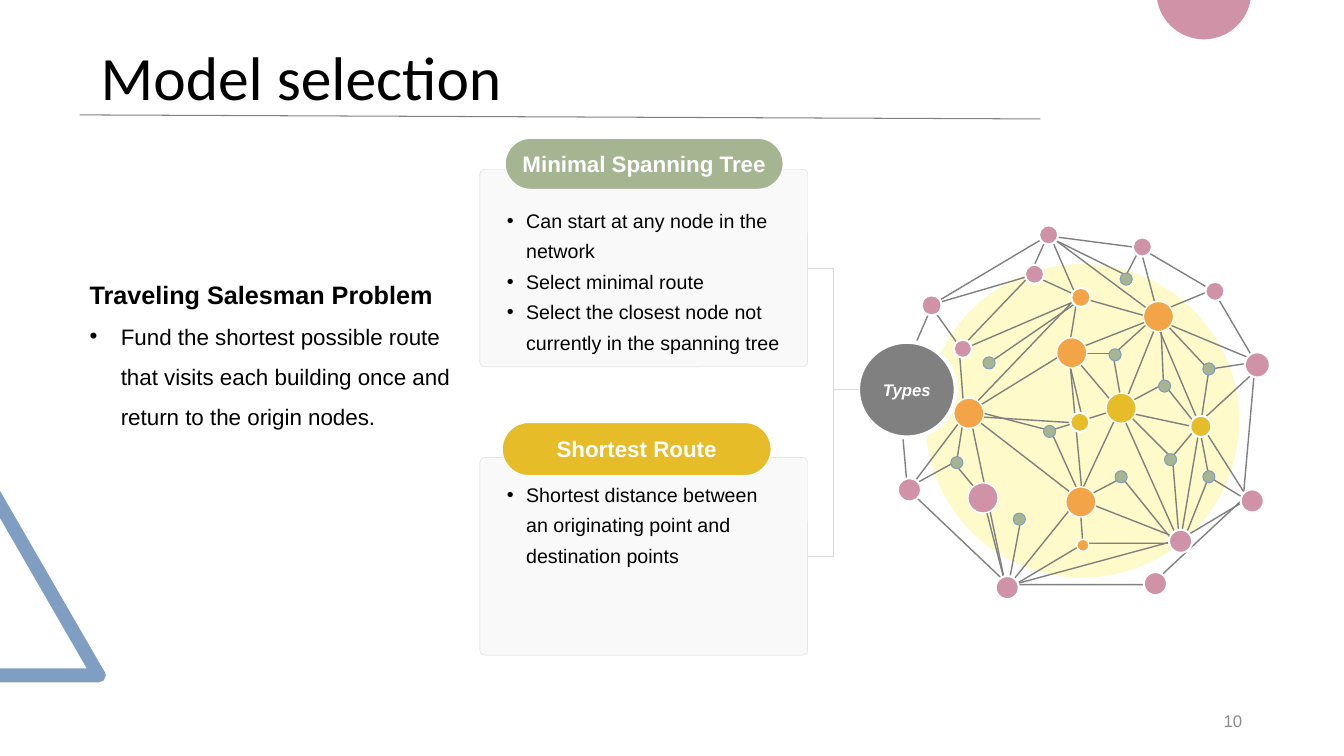
from math import cos, radians, sin

from lxml import etree
from pptx import Presentation
from pptx.dml.color import RGBColor
from pptx.enum.shapes import MSO_CONNECTOR, MSO_SHAPE
from pptx.enum.text import MSO_ANCHOR, PP_ALIGN
from pptx.oxml.ns import qn
from pptx.util import Cm, Pt

STRAIGHT, ELBOW = MSO_CONNECTOR.STRAIGHT, MSO_CONNECTOR.ELBOW
OVAL, ROUNDED = MSO_SHAPE.OVAL, MSO_SHAPE.ROUNDED_RECTANGLE
TOP, MIDDLE = MSO_ANCHOR.TOP, MSO_ANCHOR.MIDDLE
LEFT, CENTER, RIGHT = PP_ALIGN.LEFT, PP_ALIGN.CENTER, PP_ALIGN.RIGHT
RIGHT_SIDE = 3
COLORS = {
    "black": "000000", "white": "FFFFFF", "gray": "808080", "number": "8C8C8C",
    "card": "F2F2F2", "border": "D9D9D9", "blue": "809EC2", "pink": "D092A7",
    "green": "A5B592", "yellow": "E7BC29", "orange": "F3A447", "cream": "FEFAC9",
}

# Network routes, as corner points; a route that returns to its start is closed
ROUTES = [
    [(11.56, 3.83), (11.9, 4.26), (11.99, 3.67), (11.55, 3.2)],
    [(11.67, 5.41), (11.13, 4.74), (10.77, 4.93), (10.71, 4.98), (10.74, 5.39),
     (11.7, 5.39), (11.12, 4.09), (11.51, 3.12), (11.54, 3.81), (11.13, 4.03),
     (11.04, 3.52), (11.47, 3.13), (10.37, 2.31)],
    [(10.74, 2.96), (9.81, 3.6)],
    [(10.39, 2.34), (11.31, 2.46), (12.04, 2.89), (12.45, 3.59), (12.33, 4.95),
     (11.42, 5.8), (10, 5.8), (9, 4.85), (8.91, 3.81), (9.25, 3.02), (10.39, 2.34)],
    [(9.25, 3.02), (10.24, 2.73), (10.74, 2.96), (11.45, 3.16), (12.53, 3.61),
     (11.9, 4.19), (12.38, 4.95), (11.71, 5.35), (10.05, 5.8)],
    [(9.25, 3.06), (9.54, 3.47), (10.68, 2.98), (10.6, 3.47), (10.74, 4.97),
     (11.71, 5.35), (11.9, 4.22), (11.45, 3.16), (10.61, 3.49), (11.1, 4.07),
     (10.69, 4.95), (10.68, 4.97), (9.98, 5.84), (9.61, 4.07), (10.68, 2.95),
     (10.42, 2.35)],
    [(9.51, 3.42), (9.56, 4.07), (8.94, 3.84)],
    [(9.56, 3.42), (10.21, 2.74), (10.39, 2.34), (10.42, 2.36), (11.17, 2.73),
     (11.31, 2.46), (11.48, 3.1), (11.99, 2.89)],
    [(9.59, 4.09), (10.74, 4.98), (10.42, 4.27), (10.74, 4.17), (10.58, 3.49),
     (9.64, 4.07), (10.41, 4.27)],
    [(11.17, 4.09), (11.62, 4.54), (11.87, 4.24), (11.17, 4.09)],
    [(10.12, 5.18), (9.99, 5.87), (9.75, 4.94), (9.46, 4.59), (9.04, 4.82),
     (9.56, 4.13), (9.49, 4.57)],
    [(10.74, 4.2), (9.63, 4.13)],
    [(12.4, 3.6), (11.95, 3.67)],
    [(11.72, 5.41), (11.99, 4.73), (11.9, 4.26)],
    [(12.4, 4.98), (11.99, 4.73)],
    [(11.63, 4.56), (11.7, 5.41)],
    [(10.72, 5.41), (9.95, 5.87)],
    [(11.06, 3.51), (10.64, 3.51)],
    [(11.06, 4.07), (10.77, 4.16)],
]
# Nodes by colour: centre x, centre y, diameter
STOPS = [(11.17, 2.77), (11.99, 3.66), (11.55, 3.83), (11.06, 3.52), (10.41, 4.28),
         (9.81, 3.6), (9.49, 4.59), (10.11, 5.15), (11.12, 4.73), (11.61, 4.56),
         (11.99, 4.73)]
NODES = {
    "green": [(x, y, 0.12) for x, y in STOPS],
    "orange": [(10.74, 5.41, 0.12), (11.49, 3.14, 0.3), (10.63, 3.5, 0.3),
               (9.61, 4.1, 0.3), (10.72, 4.98, 0.3), (10.72, 2.95, 0.19)],
    "yellow": [(11.12, 4.05, 0.3), (10.71, 4.19, 0.19), (11.91, 4.23, 0.21)],
    "pink": [(9.02, 4.86, 0.23), (9.99, 5.83, 0.23), (11.46, 5.79, 0.23),
             (12.42, 4.97, 0.23), (12.47, 3.62, 0.25), (12.05, 2.89, 0.19),
             (11.33, 2.45, 0.19), (10.4, 2.33, 0.19), (9.24, 3.03, 0.2),
             (9.55, 3.46, 0.18), (9.75, 4.94, 0.3), (10.26, 2.72, 0.19),
             (11.71, 5.37, 0.23)],
}
# Card top, label, label box, label colour, bullets box, bullets
MODELS = [
    (1.68, "Minimal Spanning Tree", (5.01, 1.37, 2.76, 0.51), "green",
     (4.93, 1.95, 3.11, 1.54),
     ["Can start at any node in the network", "Select minimal route",
      "Select the closest node not currently in the spanning tree"]),
    (4.54, "Shortest Route", (4.98, 4.19, 2.67, 0.53), "yellow",
     (4.93, 4.67, 2.88, 1.47),
     ["Shortest distance between an originating point and destination points"]),
]


def grid(units):
    """Length of a number of layout units, each 2.54 cm."""
    return Cm(2.54 * units)


def rgb(color):
    return RGBColor.from_string(COLORS[color])


class Deck:
    def __init__(self, width, height, font="Arial"):
        self.font = font
        self.deck = Presentation()
        self.deck.slide_width, self.deck.slide_height = grid(width), grid(height)
        self.slide = self.deck.slides.add_slide(self.deck.slide_layouts[6])
        self.shapes = self.slide.shapes

    def paint(self, shape, fill, line=None, weight=1.0):
        shape.shadow.inherit = False
        if fill:
            shape.fill.solid()
            shape.fill.fore_color.rgb = rgb(fill)
        else:
            shape.fill.background()
        if line:
            shape.line.color.rgb = rgb(line)
            shape.line.width = Pt(weight)
        else:
            shape.line.fill.background()
        return shape

    def preset(self, kind, box, fill, line=None, weight=1.0, corner=None, opacity=None):
        shape = self.paint(self.shapes.add_shape(kind, *map(grid, box)), fill, line, weight)
        if corner is not None:
            shape.adjustments[0] = corner
        if opacity:
            tint = shape._element.spPr.find(qn("a:solidFill")).find(qn("a:srgbClr"))
            etree.SubElement(tint, qn("a:alpha"), val=str(opacity * 1000))
        return shape

    def outline(self, points, fill=None, line=None, weight=1.0, close=True):
        (x, y), *rest = [(grid(px), grid(py)) for px, py in points]
        builder = self.shapes.build_freeform(x, y, scale=1.0)
        builder.add_line_segments(rest, close=close)
        return self.paint(builder.convert_to_shape(), fill, line, weight)

    def connector(self, kind, start, end, color, weight):
        link = self.shapes.add_connector(kind, *map(grid, (*start, *end)))
        link.line.color.rgb = rgb(color)
        link.line.width = Pt(weight)
        etree.SubElement(link._element.spPr, qn("a:effectLst"))
        return link

    def route(self, points):
        if len(points) == 2:
            self.connector(STRAIGHT, *points, "gray", 1)
        else:
            self.outline(points, line="gray", close=points[0] == points[-1])

    def node(self, x, y, size, color):
        line, weight = "white", 1.5 if 0.12 < size < 0.3 else 1
        if color == "green":
            line, weight = "blue", 0.75
        self.preset(OVAL, (x - size / 2, y - size / 2, size, size), color, line, weight)

    def fill_paragraph(self, paragraph, text, size, color="black", bold=False, italic=False,
                       font=None, align=LEFT, spacing=None, bullet_indent=None):
        paragraph.alignment = align
        if bullet_indent:
            ppr = paragraph._p.get_or_add_pPr()
            ppr.set("marL", str(grid(bullet_indent)))
            ppr.set("indent", str(-grid(bullet_indent)))
            etree.SubElement(ppr, qn("a:buFont"), typeface="Arial")
            etree.SubElement(ppr, qn("a:buChar"), char="•")
        if spacing:
            paragraph.line_spacing = spacing
        run = paragraph.add_run()
        run.text = text
        run.font.name = font or self.font
        run.font.size = Pt(size)
        run.font.bold, run.font.italic = bold, italic
        run.font.color.rgb = rgb(color)

    def label(self, shape, text, size, italic=False):
        frame = shape.text_frame
        frame.word_wrap = False
        frame.vertical_anchor = MIDDLE
        self.fill_paragraph(frame.paragraphs[0], text, size, "white", True, italic,
                            align=CENTER)

    def text(self, box, entries, anchor=TOP):
        """Add a text box; each entry holds the arguments of one paragraph."""
        frame = self.shapes.add_textbox(*map(grid, box)).text_frame
        frame.word_wrap = True
        frame.vertical_anchor = anchor
        for index, entry in enumerate(entries):
            paragraph = frame.add_paragraph() if index else frame.paragraphs[0]
            self.fill_paragraph(paragraph, **entry)


def main():
    deck = Deck(13.33, 7.5)
    deck.outline([(0, 6.77), (0, 6.63), (0.86, 6.63), (0, 5.14), (0, 4.87), (1.04, 6.67),
                  (1.05, 6.7), (1.03, 6.75), (0.98, 6.77)], "blue")
    deck.outline([(11.94 + 0.47 * cos(radians(a)), 0.47 * sin(radians(a)) - 0.08)
                  for a in range(10, 171, 4)], "pink")
    deck.text((0.9, 0.07, 11.5, 1.45),
              [dict(text="Model selection", size=44, font="Calibri", spacing=0.9)], MIDDLE)
    deck.text((9.42, 6.95, 3, 0.4),
              [dict(text="10", size=12, color="number", align=RIGHT)], MIDDLE)

    cards = []
    for top, name, label_box, color, bullets_box, bullets in MODELS:
        cards.append(deck.preset(ROUNDED, (4.76, top, 3.25, 1.96), "card", "border", 0.25,
                                 corner=0.024, opacity=40))
        pill = deck.preset(ROUNDED, label_box, color, "white", corner=0.5)
        deck.label(pill, name, 16)
        deck.text(bullets_box, [dict(text=bullet, size=14, spacing=1.3, bullet_indent=0.19)
                                for bullet in bullets])

    deck.preset(OVAL, (9.18, 2.62, 3.11, 3.11), "cream")
    for points in ROUTES:
        deck.route(points)
    for color, nodes in NODES.items():
        for node in nodes:
            deck.node(*node, color)
    hub = deck.preset(OVAL, (8.51, 3.39, 0.97, 0.95), "gray", "white", 3)
    deck.label(hub, "Types", 12, italic=True)
    for card, (top, *_) in zip(cards, MODELS):
        link = deck.connector(ELBOW, (8.01, top + 0.98), (8.51, 3.86), "border", 0.25)
        link.begin_connect(card, RIGHT_SIDE)

    deck.text((0.79, 2.57, 3.87, 3.57), [
        dict(text="Traveling Salesman Problem", size=18, bold=True, spacing=1.5),
        dict(text="Fund the shortest possible route that visits each building once and "
                  "return to the origin nodes.", size=16, spacing=1.5, bullet_indent=0.31),
    ])
    deck.connector(STRAIGHT, (0.79, 1.14), (10.32, 1.18), "gray", 0.75)
    deck.deck.save("out.pptx")


if __name__ == "__main__":
    main()
